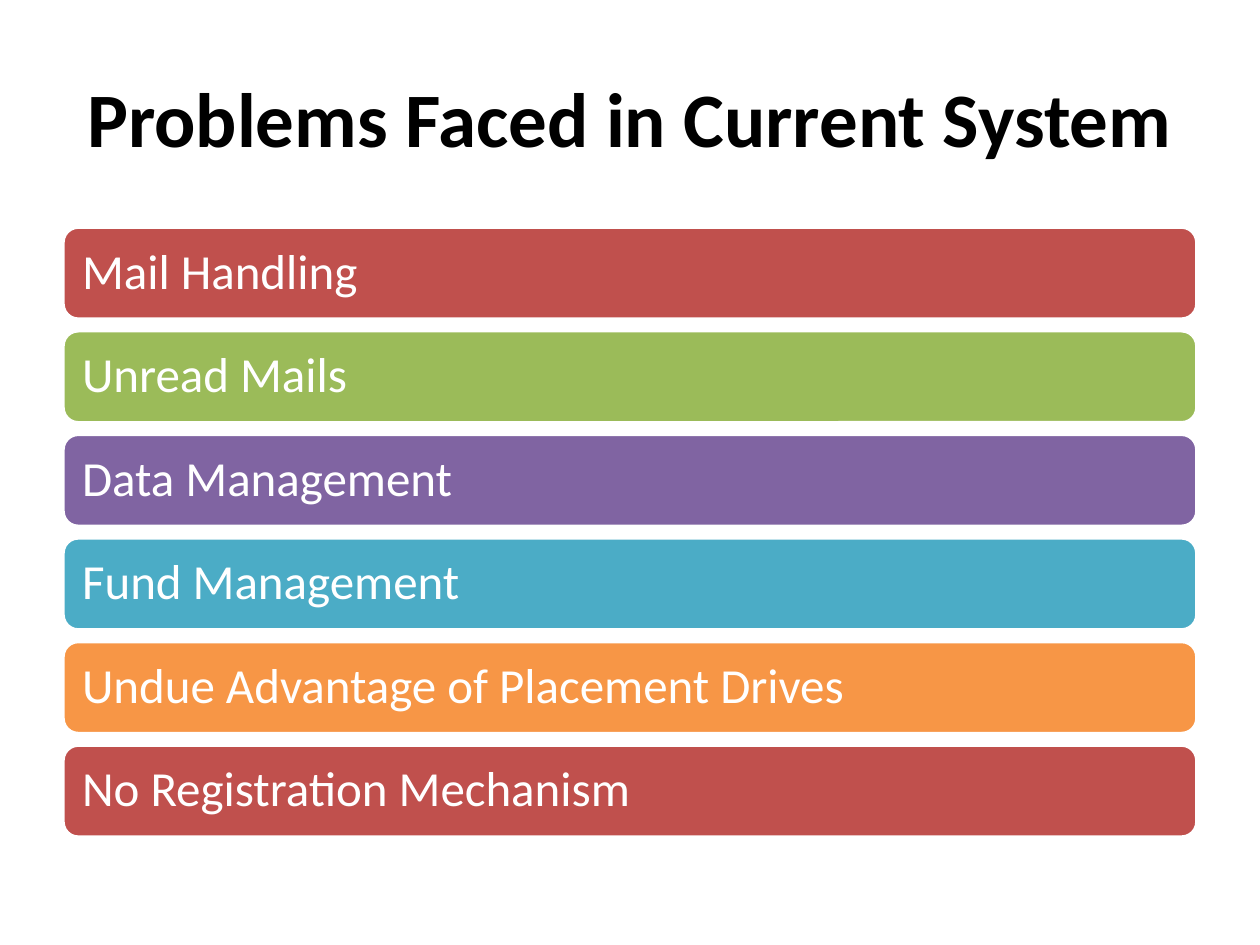
from pptx import Presentation
from pptx.dml.color import RGBColor
from pptx.enum.shapes import MSO_SHAPE as Shape
from pptx.enum.text import MSO_ANCHOR as Anchor, PP_ALIGN as Align
from pptx.util import Pt

BLACK = RGBColor(0x00, 0x00, 0x00)
WHITE = RGBColor(0xFF, 0xFF, 0xFF)
RED = RGBColor(0xC0, 0x50, 0x4D)
GREEN = RGBColor(0x9B, 0xBB, 0x59)
PURPLE = RGBColor(0x80, 0x64, 0xA2)
TEAL = RGBColor(0x4B, 0xAC, 0xC6)
ORANGE = RGBColor(0xF7, 0x96, 0x46)

FONT = "Calibri"
PROBLEMS = [
    ("Mail Handling", RED),
    ("Unread Mails", GREEN),
    ("Data Management", PURPLE),
    ("Fund Management", TEAL),
    ("Undue Advantage of Placement Drives", ORANGE),
    ("No Registration Mechanism", RED),
]


def add_run(paragraph, text, size, color, bold=False):
    run = paragraph.add_run()
    run.text = text
    run.font.name = FONT
    run.font.size = Pt(size)
    run.font.bold = bold
    run.font.color.rgb = color


def place_heading(slide, left, top, width, height):
    heading = slide.shapes.title
    heading.left, heading.top = Pt(left), Pt(top)
    heading.width, heading.height = Pt(width), Pt(height)
    heading.text_frame.vertical_anchor = Anchor.MIDDLE
    paragraph = heading.text_frame.paragraphs[0]
    paragraph.alignment = Align.CENTER
    add_run(paragraph, "Problems Faced in Current System", 44, BLACK, bold=True)


def add_problem_bar(slide, problem, color, left, top, width, height):
    bar = slide.shapes.add_shape(
        Shape.ROUNDED_RECTANGLE, Pt(left), Pt(top), Pt(width), Pt(height))
    bar.shadow.inherit = False
    bar.fill.solid()
    bar.fill.fore_color.rgb = color
    bar.line.color.rgb = WHITE
    bar.line.width = Pt(2)

    # Label inside the bar
    label = bar.text_frame
    label.word_wrap = True
    label.vertical_anchor = Anchor.MIDDLE
    label.margin_left = label.margin_right = Pt(8.4)
    label.margin_top = label.margin_bottom = Pt(8.4)
    paragraph = label.paragraphs[0]
    paragraph.alignment = Align.LEFT
    paragraph.line_spacing = 0.9
    add_run(paragraph, problem, 28, WHITE)


def add_problem_list(slide, left, top, width, height, gap=6.6):
    count = len(PROBLEMS)
    bar_height = (height - gap * (count - 1)) / count
    for row, (problem, color) in enumerate(PROBLEMS):
        bar_top = top + row * (bar_height + gap)
        add_problem_bar(slide, problem, color, left, bar_top, width, bar_height)


def main():
    deck = Presentation()
    deck.slide_width, deck.slide_height = Pt(720), Pt(540)
    slide = deck.slides.add_slide(deck.slide_layouts[5])
    place_heading(slide, 36, 21.6, 648, 90)
    add_problem_list(slide, 36, 129.8, 648, 348.6)
    deck.save("out.pptx")


if __name__ == "__main__":
    main()
